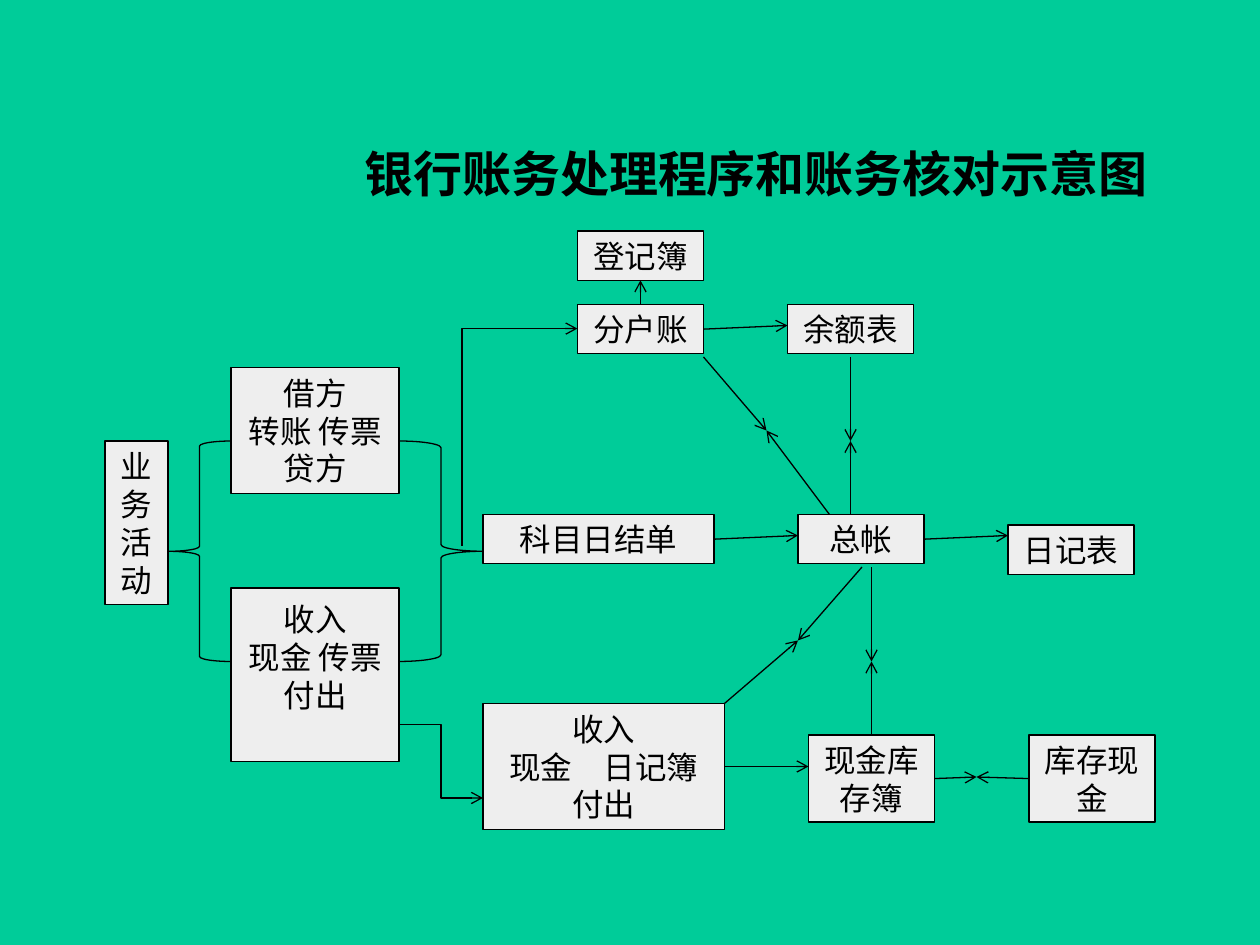
from lxml import etree
from pptx import Presentation, util as u
from pptx.dml.color import RGBColor
from pptx.enum import shapes, text
from pptx.oxml.ns import qn

PX = 7620  # EMU in one px, 120 px to the inch
GREEN = RGBColor(0x00, 0xCC, 0x99)
GREY = RGBColor(0xEE, 0xEE, 0xEE)
BLACK = RGBColor(0, 0, 0)
TOP, LEFT, BOTTOM, RIGHT = range(4)
STRAIGHT, ELBOW = shapes.MSO_CONNECTOR.STRAIGHT, shapes.MSO_CONNECTOR.ELBOW

W, H, H2 = 120, 47, 83  # ledger box: width, height with one and two lines
BOXES = {
    "业务活动": (100, 420, 60, 156),
    "借方\n转账 传票\n贷方": (220, 350, 160, 120),
    "收入\n现金 传票\n付出": (220, 560, 160, 165),
    "科目日结单": (460, 490, 220, H),
    "收入\n现金　日记簿\n付出": (460, 670, 230, 120),
    "登记簿": (550, 220, W, H),
    "分户账": (550, 290, W, H),
    "余额表": (750, 290, W, H),
    "总帐": (760, 490, W, H),
    "日记表": (960, 500, W, H),
    "现金库存簿": (770, 700, W, H2),
    "库存现金": (980, 700, W, H2),
}
CASH_VOUCHER = "收入\n现金 传票\n付出"
CASH_JOURNAL = "收入\n现金　日记簿\n付出"

# An end is a point (x, y) or the middle of a box side (box, side).
FLOWS = [
    (("分户账", TOP), ("登记簿", BOTTOM)),
    (("分户账", RIGHT), (750, 310)),
    (("科目日结单", RIGHT), (760, 510)),
    (("总帐", RIGHT), (960, 510)),
    ((CASH_JOURNAL, RIGHT), (770, 730)),
]
# Two ends whose arrows meet at the point between them.
CHECKS = [
    ((670, 340), (730, 410), (790, 490)),
    ((810, 340), (810, 420), (810, 490)),
    ((821, 540), (760, 610), (690, 670)),
    ((830, 540), (830, 630), ("现金库存簿", TOP)),
    (("现金库存簿", RIGHT), (930, 740), ("库存现金", LEFT)),
]


def emu(box):
    return [v * PX for v in box]


def write(shape, words, font, size, bold=False):
    tf = shape.text_frame
    tf.word_wrap = True
    tf.auto_size = text.MSO_AUTO_SIZE.NONE
    tf.vertical_anchor = text.MSO_ANCHOR.MIDDLE
    tf.text = words
    for p in tf.paragraphs:
        p.alignment = text.PP_ALIGN.CENTER
        p.font.name, p.font.size, p.font.bold = font, u.Pt(size), bold
        p.font.color.rgb = BLACK
    return tf


def add_title(s, box):
    write(s.shapes.add_textbox(*emu(box)), "银行账务处理程序和账务核对示意图",
          "Montserrat", 28, True)


def add_box(s, words, box):
    sp = s.shapes.add_shape(shapes.MSO_SHAPE.RECTANGLE, *emu(box))
    sp.shadow.inherit = False
    sp.fill.solid()
    sp.fill.fore_color.rgb = GREY
    sp.line.color.rgb = BLACK
    sp.line.width = 0
    tf = write(sp, words, "Times New Roman", 18)
    tf.margin_left = tf.margin_right = 11 * PX
    tf.margin_top = tf.margin_bottom = 5 * PX
    return sp


def add_brace(s, box, rotation=0):
    sp = s.shapes.add_shape(shapes.MSO_SHAPE.RIGHT_BRACE, *emu(box))
    sp.shadow.inherit = False
    sp.fill.background()
    sp.line.color.rgb = BLACK
    sp.line.width = u.Pt(0.75)
    sp.adjustments[0] = 0.08
    sp.rotation = rotation


def add_arrow(s, boxes, start, end, kind=STRAIGHT, tip="a:tailEnd"):
    """Draw an arrow; ends given as (box, side) are joined to that box."""
    points = [e if isinstance(e[0], int) else (0, 0) for e in (start, end)]
    line = s.shapes.add_connector(kind, *emu(points[0] + points[1]))
    for e, join in ((start, line.begin_connect), (end, line.end_connect)):
        if e[0] in boxes:
            join(boxes[e[0]], e[1])
    line.line.color.rgb = BLACK
    line.line.width = u.Pt(0.75)
    ln = line.line._get_or_add_ln()
    etree.SubElement(ln, qn(tip), type="arrow")
    etree.SubElement(line._element.spPr, qn("a:effectLst"))
    return line


def add_flowchart(s):
    boxes = {words: add_box(s, words, box) for words, box in BOXES.items()}
    boxes[CASH_VOUCHER].text_frame.margin_bottom = 39 * PX
    add_brace(s, (160, 420, 60, 210), 180)
    add_brace(s, (380, 420, 80, 210))
    for start, end in FLOWS:
        add_arrow(s, boxes, start, end)
    for first, meeting, second in CHECKS:
        add_arrow(s, boxes, first, meeting)
        add_arrow(s, boxes, second, meeting)
    add_arrow(s, boxes, (380, 690), (460, 760), ELBOW)
    corner = add_arrow(s, boxes, (550, 313), (440, 520), ELBOW, "a:headEnd")
    corner._element.spPr.find(qn("a:prstGeom")).set("prst", "bentConnector2")


def main():
    prs = Presentation()
    prs.slide_width, prs.slide_height = emu((1200, 900))
    s = prs.slides.add_slide(prs.slide_layouts[6])
    s.background.fill.solid()
    s.background.fill.fore_color.rgb = GREEN
    add_title(s, (300, 110, 840, 110))
    add_flowchart(s)
    prs.save("out.pptx")


if __name__ == "__main__":
    main()
